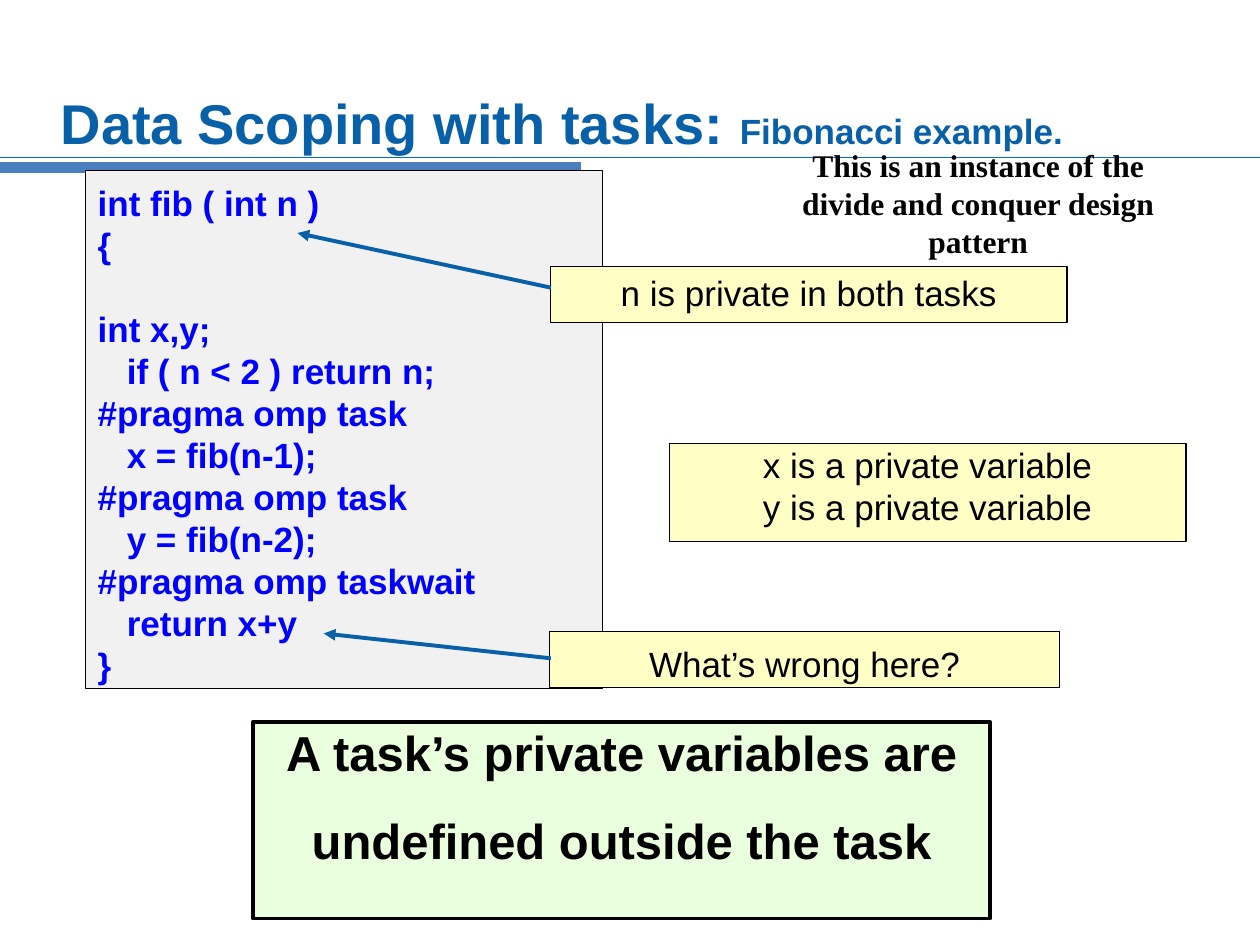
import pptx
import pptx.util
import pptx.dml.color
import pptx.enum.shapes
import pptx.enum.text
import pptx.oxml
import pptx.oxml.ns
from dataclasses import dataclass

Pt = pptx.util.Pt
ALIGN = pptx.enum.text.PP_ALIGN


@dataclass(frozen=True)
class Theme:
    sans: str = "Arial"
    serif: str = "Times New Roman"
    black: str = "000000"
    blue: str = "0860A8"
    code_blue: str = "0000FF"
    rule: str = "0070C0"
    bar: str = "4B7EBC"
    code_fill: str = "F1F1F1"
    label_fill: str = "FFFFC5"
    result_fill: str = "E9FFDD"
    title_size: float = 32
    result_size: float = 28
    body_size: float = 20
    note_size: float = 18
    line_height: float = 1.2


def rgb(value):
    return pptx.dml.color.RGBColor.from_string(value)


class Deck:
    def __init__(self, theme):
        self.theme = theme
        self.prs = pptx.Presentation()
        self.prs.slide_width, self.prs.slide_height = Pt(720), Pt(540)
        self.s = self.prs.slides.add_slide(self.prs.slide_layouts[5])

    def frame(self, tf, left=0, top=0):
        tf.word_wrap = True
        tf.auto_size = pptx.enum.text.MSO_AUTO_SIZE.NONE
        tf.vertical_anchor = pptx.enum.text.MSO_ANCHOR.TOP
        tf.margin_left, tf.margin_top = Pt(left), Pt(top)
        tf.margin_right = tf.margin_bottom = 0

    def style(self, p, size, color, bold, font, align):
        p.alignment = align
        p.line_spacing = Pt(size * self.theme.line_height)
        p.font.name, p.font.size, p.font.bold = font, Pt(size), bold
        p.font.color.rgb = rgb(color)

    def fill_text(self, tf, lines, size, color=None, bold=False, font=None,
                  align=ALIGN.CENTER, gaps=None):
        """Fill a frame line by line; gaps maps a line number to its space before."""
        for i, line in enumerate(lines):
            p = tf.paragraphs[0] if i == 0 else tf.add_paragraph()
            p.text = line
            self.style(p, size, color or self.theme.black, bold,
                       font or self.theme.sans, align)
            p.space_before = Pt((gaps or {}).get(i, 0))

    def title(self, main_text, detail, x, y, w, h):
        sp = self.s.shapes.title
        sp.left, sp.top, sp.width, sp.height = Pt(x), Pt(y), Pt(w), Pt(h)
        self.frame(sp.text_frame)
        p = sp.text_frame.paragraphs[0]
        self.style(p, self.theme.title_size, self.theme.blue, True,
                   self.theme.sans, ALIGN.LEFT)
        p.add_run().text = main_text
        r = p.add_run()
        r.text = detail
        r.font.size = Pt(self.theme.body_size)

    def box(self, x, y, w, h, fill, lines, size, left=0, top=0, border=0.75, **text):
        sp = self.s.shapes.add_shape(pptx.enum.shapes.MSO_SHAPE.RECTANGLE,
                                     Pt(x), Pt(y), Pt(w), Pt(h))
        sp.shadow.inherit = False
        sp.fill.solid()
        sp.fill.fore_color.rgb = rgb(fill)
        sp.line.color.rgb = rgb(self.theme.black)
        sp.line.width = Pt(border)
        self.frame(sp.text_frame, left, top)
        self.fill_text(sp.text_frame, lines, size, **text)

    def note(self, x, y, w, h, lines, size, **text):
        sp = self.s.shapes.add_textbox(Pt(x), Pt(y), Pt(w), Pt(h))
        self.frame(sp.text_frame)
        self.fill_text(sp.text_frame, lines, size, **text)

    def line(self, start, end, color, width, arrow=False):
        c = self.s.shapes.add_connector(pptx.enum.shapes.MSO_CONNECTOR.STRAIGHT,
                                        *map(Pt, start + end))
        c.line.color.rgb = rgb(color)
        c.line.width = Pt(width)
        sp_pr = c._element.spPr
        ns = pptx.oxml.ns.nsdecls("a")
        if arrow:
            ln = sp_pr.find(pptx.oxml.ns.qn("a:ln"))
            ln.append(pptx.oxml.parse_xml(f'<a:tailEnd {ns} type="triangle"/>'))
        sp_pr.append(pptx.oxml.parse_xml(f'<a:effectLst {ns}/>'))


CODE = [
    "int fib ( int n )",
    "{",
    "int x,y;",
    "   if ( n < 2 ) return n;",
    "#pragma omp task",
    "   x = fib(n-1);",
    "#pragma omp task",
    "   y = fib(n-2);",
    "#pragma omp taskwait",
    "   return x+y",
    "}",
]


def main():
    t = Theme()
    deck = Deck(t)
    deck.line((0, 90), (720, 90), t.rule, 0.75)
    deck.line((0, 95.6), (332, 95.6), t.bar, 6)
    deck.title("Data Scoping with tasks: ", "Fibonacci example.", 34.6, 50.4, 600, 38.4)

    deck.box(48.8, 97.4, 295.4, 296, t.code_fill, CODE, t.body_size, left=7, top=6.3,
             color=t.code_blue, bold=True, align=ALIGN.LEFT,
             gaps={2: t.body_size * t.line_height})
    deck.note(455, 83.6, 208, 66,
              ["This is an instance of the divide and conquer design pattern"],
              t.note_size, bold=True, font=t.serif)

    deck.box(314.6, 152.2, 295.2, 32, t.label_fill,
             ["n is private in both tasks"], t.body_size, top=3.2)
    deck.box(382.5, 253.4, 295.2, 56.2, t.label_fill,
             ["x is a private variable", "y is a private variable"], t.body_size)
    deck.box(314, 361, 291.6, 32, t.label_fill,
             ["What’s wrong here?"], t.body_size, top=6.3)
    deck.line((314.8, 164.4), (170, 133.2), t.blue, 2.25, arrow=True)
    deck.line((314.8, 376.2), (185, 362), t.blue, 2.25, arrow=True)

    deck.box(144.6, 412.6, 421.2, 112.4, t.result_fill,
             ["A task’s private variables are", "undefined outside the task"],
             t.result_size, border=2, bold=True, gaps={1: 16.8})
    deck.prs.save("out.pptx")


if __name__ == "__main__":
    main()
